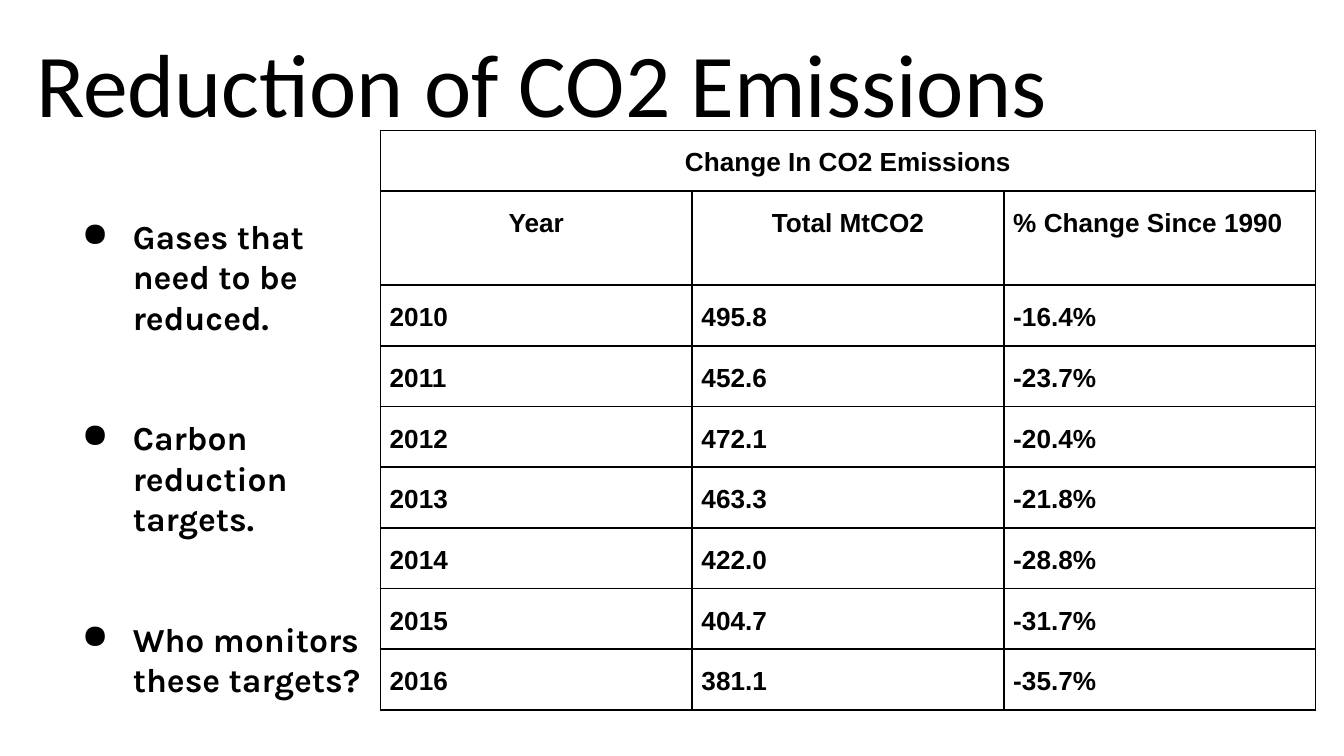
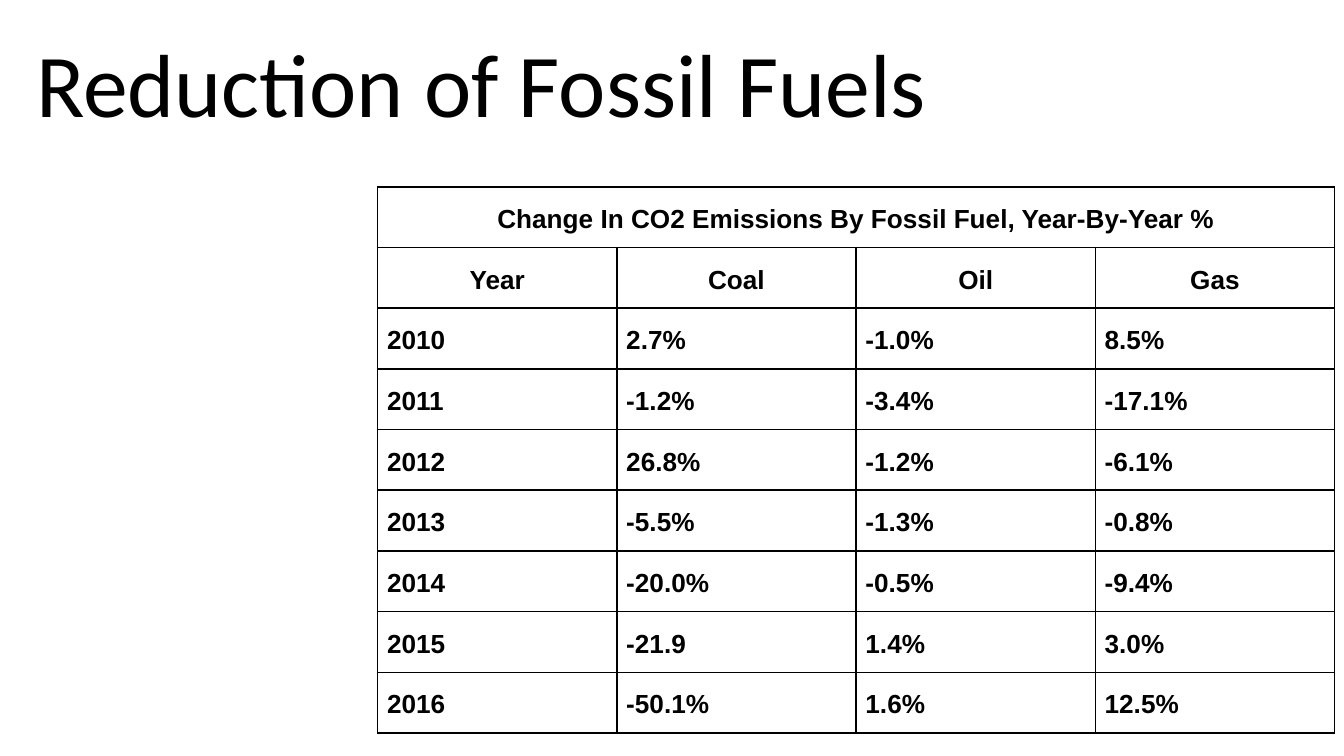
from lxml.etree import SubElement
from pptx import Presentation
from pptx.dml.color import RGBColor
from pptx.enum.text import MSO_ANCHOR, MSO_AUTO_SIZE, PP_ALIGN
from pptx.oxml.ns import qn
from pptx.util import Inches, Pt

# Shared look
COLORS = {"page": "FFFFFF", "ink": "000000"}
WIDTH, HEIGHT = Inches(10), Inches(5.625)
TITLE_AREA = (1.7, 1.96, 84.7, 39.11)  # left, top, width, height in percent
ROW_HEIGHT = 8  # percent of the slide's height
TITLE_ONLY = 5

# Content
BULLETS = [
    "Gases that need to be reduced.",
    "Carbon reduction targets.",
    "Who monitors these targets?",
]
TOTAL_ROWS = [
    ("2010", "495.8", "-16.4%"),
    ("2011", "452.6", "-23.7%"),
    ("2012", "472.1", "-20.4%"),
    ("2013", "463.3", "-21.8%"),
    ("2014", "422.0", "-28.8%"),
    ("2015", "404.7", "-31.7%"),
    ("2016", "381.1", "-35.7%"),
]
FUEL_ROWS = [
    ("2010", "2.7%", "-1.0%", "8.5%"),
    ("2011", "-1.2%", "-3.4%", "-17.1%"),
    ("2012", "26.8%", "-1.2%", "-6.1%"),
    ("2013", "-5.5%", "-1.3%", "-0.8%"),
    ("2014", "-20.0%", "-0.5%", "-9.4%"),
    ("2015", "-21.9", "1.4%", "3.0%"),
    ("2016", "-50.1%", "1.6%", "12.5%"),
]


def across(percent):
    return int(WIDTH * percent / 100)


def down(percent):
    return int(HEIGHT * percent / 100)


def area(left, top, width, height):
    return across(left), down(top), across(width), down(height)


def style_text(para, font, size, bold=False):
    for span in para.runs:
        span.font.name = font
        span.font.size = Pt(size)
        span.font.bold = bold
        span.font.color.rgb = RGBColor.from_string(COLORS["ink"])


def set_frame(frame, anchor):
    frame.word_wrap = True
    frame.auto_size = MSO_AUTO_SIZE.NONE
    frame.vertical_anchor = anchor
    frame.margin_left = frame.margin_right = Inches(0.1)
    frame.margin_top = frame.margin_bottom = Inches(0.1)


# Page with its title
def add_page(deck, title):
    page = deck.slides.add_slide(deck.slide_layouts[TITLE_ONLY])
    page.background.fill.solid()
    page.background.fill.fore_color.rgb = RGBColor.from_string(COLORS["page"])
    box = page.shapes.title
    box.left, box.top, box.width, box.height = area(*TITLE_AREA)
    set_frame(box.text_frame, MSO_ANCHOR.TOP)
    para = box.text_frame.paragraphs[0]
    para.text = title
    para.alignment = PP_ALIGN.LEFT
    style_text(para, "Calibri", 48)
    return page


# Bulleted list
def add_bullet(para):
    properties = para._p.get_or_add_pPr()
    properties.set("marL", str(Inches(0.5)))
    properties.set("indent", str(Inches(-0.38)))
    color = SubElement(properties, qn("a:buClr"))
    SubElement(color, qn("a:srgbClr"), val=COLORS["ink"])
    SubElement(properties, qn("a:buChar"), char="●")


def add_bullets(page, items, place):
    frame = page.shapes.add_textbox(*area(*place)).text_frame
    set_frame(frame, MSO_ANCHOR.MIDDLE)
    for index, item in enumerate(items):
        para = frame.add_paragraph() if index else frame.paragraphs[0]
        para.text = item
        para.space_before = Pt(43 if index else 0)
        style_text(para, "Karla", 18, bold=True)
        add_bullet(para)


# Bordered table
def add_borders(cell):
    properties = cell._tc.get_or_add_tcPr()
    for side in ("lnL", "lnR", "lnT", "lnB"):
        line = SubElement(properties, qn(f"a:{side}"), w=str(Pt(1)))
        fill = SubElement(line, qn("a:solidFill"))
        SubElement(fill, qn("a:srgbClr"), val=COLORS["ink"])


def fill_cell(cell, text, centred):
    cell.margin_left = cell.margin_right = Inches(0.07)
    cell.margin_top = cell.margin_bottom = Inches(0.1)
    add_borders(cell)
    cell.fill.background()
    para = cell.text_frame.paragraphs[0]
    para.text = text
    para.line_spacing = 1.15
    para.alignment = PP_ALIGN.CENTER if centred else PP_ALIGN.LEFT
    style_text(para, "Arial", 14, bold=True)


def add_data_table(page, caption, headings, records, place, centred_headings,
                   heading_height=ROW_HEIGHT):
    left, top, width = place
    count = len(headings)
    rows = [(caption,) + ("",) * (count - 1), headings, *records]
    table = page.shapes.add_table(
        len(rows), count, *area(left, top, width, ROW_HEIGHT * len(rows))).table
    table.first_row = table.horz_banding = False
    for column in table.columns:
        column.width = across(width / count)
    for r, values in enumerate(rows):
        table.rows[r].height = down(heading_height if r == 1 else ROW_HEIGHT)
        for c, value in enumerate(values):
            centred = r == 0 or (r == 1 and c < centred_headings)
            fill_cell(table.cell(r, c), value, centred)
    table.cell(0, 0).merge(table.cell(0, count - 1))


def main():
    deck = Presentation()
    deck.slide_width, deck.slide_height = WIDTH, HEIGHT

    # Total emissions
    page = add_page(deck, "Reduction of CO2 Emissions")
    add_bullets(page, BULLETS, (3.9, 35.02, 25, 51.02))
    add_data_table(page, "Change In CO2 Emissions",
                   ("Year", "Total MtCO2", "% Change Since 1990"), TOTAL_ROWS,
                   (28.3, 17.24, 69.6), centred_headings=2, heading_height=12.44)

    # Emissions by fuel
    page = add_page(deck, "Reduction of Fossil Fuels")
    add_data_table(page, "Change In CO2 Emissions By Fossil Fuel, Year-By-Year %",
                   ("Year", "Coal", "Oil", "Gas"), FUEL_ROWS,
                   (28.1, 24.71, 71.2), centred_headings=4)

    deck.save("out.pptx")


if __name__ == "__main__":
    main()
